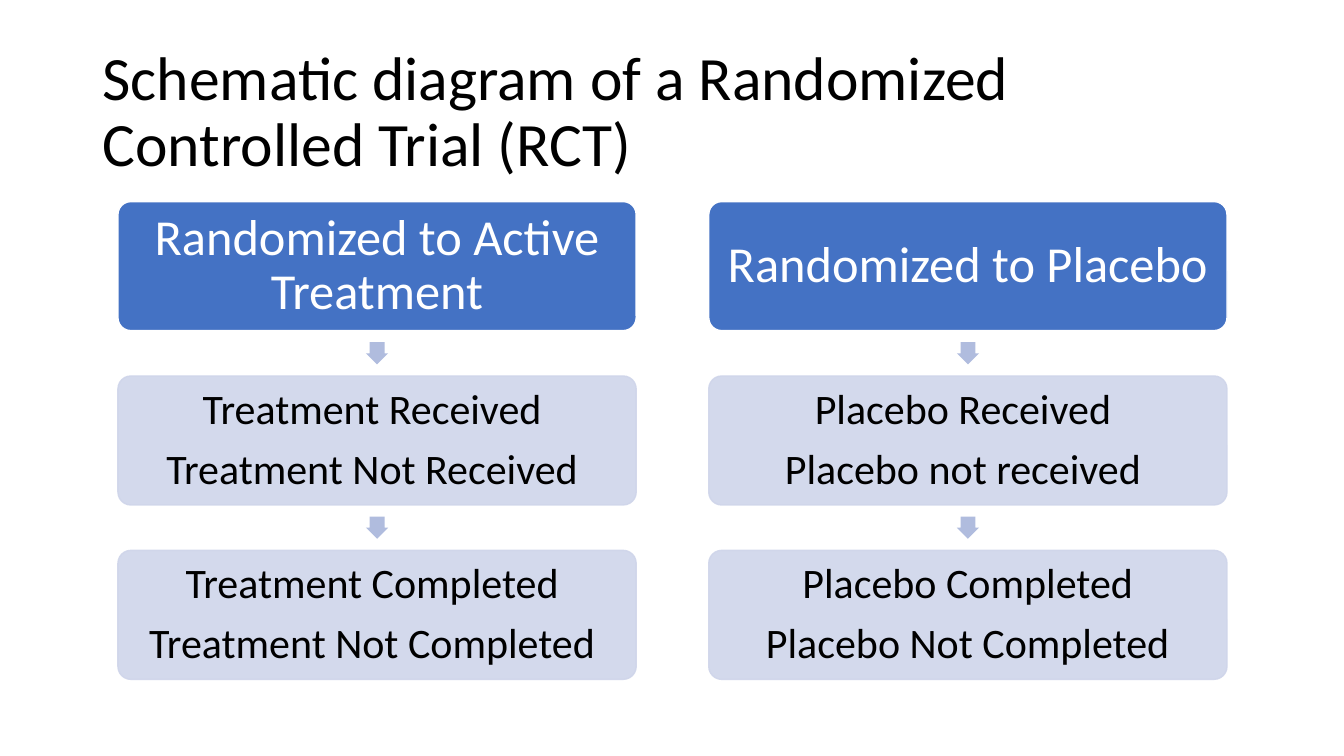
import pptx
import pptx.dml.color
import pptx.enum.shapes
import pptx.enum.text
import pptx.oxml.ns
import pptx.util
import lxml.etree

RGBColor = pptx.dml.color.RGBColor
SHAPE = pptx.enum.shapes.MSO_SHAPE
ALIGN = pptx.enum.text.PP_ALIGN
Inches, Pt = pptx.util.Inches, pptx.util.Pt
qn = pptx.oxml.ns.qn

TITLE = "Schematic diagram of a Randomized Controlled Trial (RCT)"
ARMS = [
    [
        ["Randomized to Active Treatment"],
        ["Treatment Received ", "Treatment Not Received "],
        ["Treatment Completed ", "Treatment Not Completed "],
    ],
    [
        ["Randomized to Placebo"],
        ["Placebo Received ", "Placebo not received "],
        ["Placebo Completed", "Placebo Not Completed"],
    ],
]

BLACK = RGBColor(0x00, 0x00, 0x00)
WHITE = RGBColor(0xFF, 0xFF, 0xFF)
BLUE = RGBColor(0x44, 0x72, 0xC4)
PALE_BLUE = RGBColor(0xCF, 0xD5, 0xEA)
ARROW_BLUE = RGBColor(0xB0, 0xBC, 0xDE)
FONT = "Calibri"

SLIDE_W, SLIDE_H = 13.33, 7.5
LEFT, TOP = 1.17, 2.0
BOX_W, BOX_H = 5.14, 1.28
COLUMN_STEP, ROW_STEP = 5.86, 1.73
ARROW = 0.22


def write(sp, lines, size, color, align, inset, space_after=0):
    tf = sp.text_frame
    tf.word_wrap = True
    tf.vertical_anchor = pptx.enum.text.MSO_ANCHOR.MIDDLE
    tf.margin_left = tf.margin_right = Inches(inset[0])
    tf.margin_top = tf.margin_bottom = Inches(inset[1])
    tf.text = "\n".join(lines)
    for p in tf.paragraphs:
        p.alignment = align
        p.line_spacing = 0.9
        p.space_after = Pt(space_after)
        for r in p.runs:
            r.font.name = FONT
            r.font.size = Pt(size)
            r.font.color.rgb = color


def add_filled(slide, kind, x, y, w, h, fill):
    sp = slide.shapes.add_shape(kind, Inches(x), Inches(y), Inches(w), Inches(h))
    sp.shadow.inherit = False
    sp.fill.solid()
    sp.fill.fore_color.rgb = fill
    return sp


def set_opacity(sp, percent):
    """Apply the opacity to both the fill and the outline."""
    for color in sp._element.spPr.iter(qn("a:srgbClr")):
        lxml.etree.SubElement(color, qn("a:alpha"), val=str(percent * 1000))


def add_stage(slide, x, y, lines, is_head):
    sp = add_filled(slide, SHAPE.ROUNDED_RECTANGLE, x, y, BOX_W, BOX_H,
                    BLUE if is_head else PALE_BLUE)
    sp.adjustments[0] = 0.1
    sp.line.color.rgb = WHITE if is_head else PALE_BLUE
    sp.line.width = Pt(1)
    if is_head:
        write(sp, lines, 36, WHITE, ALIGN.CENTER, (0.05, 0.05), 12.6)
    else:
        set_opacity(sp, 90)
        write(sp, lines, 30, BLACK, ALIGN.CENTER, (0.04, 0.04), 10.5)


def add_arrow_above(slide, x, y):
    """Centre a downward arrow in the gap above the stage at x, y."""
    gap = ROW_STEP - BOX_H
    sp = add_filled(slide, SHAPE.RIGHT_ARROW, x + (BOX_W - ARROW) / 2,
                    y - (gap + ARROW) / 2, ARROW, ARROW, ARROW_BLUE)
    sp.rotation = 90
    sp.adjustments[0] = 0.67
    sp.adjustments[1] = 0.5
    sp.line.fill.background()


def main():
    prs = pptx.Presentation()
    prs.slide_width, prs.slide_height = Inches(SLIDE_W), Inches(SLIDE_H)
    slide = prs.slides.add_slide(prs.slide_layouts[6])

    title = slide.shapes.add_textbox(Inches(0.92), Inches(0.4), Inches(11.5), Inches(1.45))
    write(title, [TITLE], 44, BLACK, ALIGN.LEFT, (0.1, 0.05))

    for column, stages in enumerate(ARMS):
        x = LEFT + column * COLUMN_STEP
        for row, lines in enumerate(stages):
            y = TOP + row * ROW_STEP
            if row:
                add_arrow_above(slide, x, y)
            add_stage(slide, x, y, lines, is_head=row == 0)

    prs.save("out.pptx")


if __name__ == "__main__":
    main()
